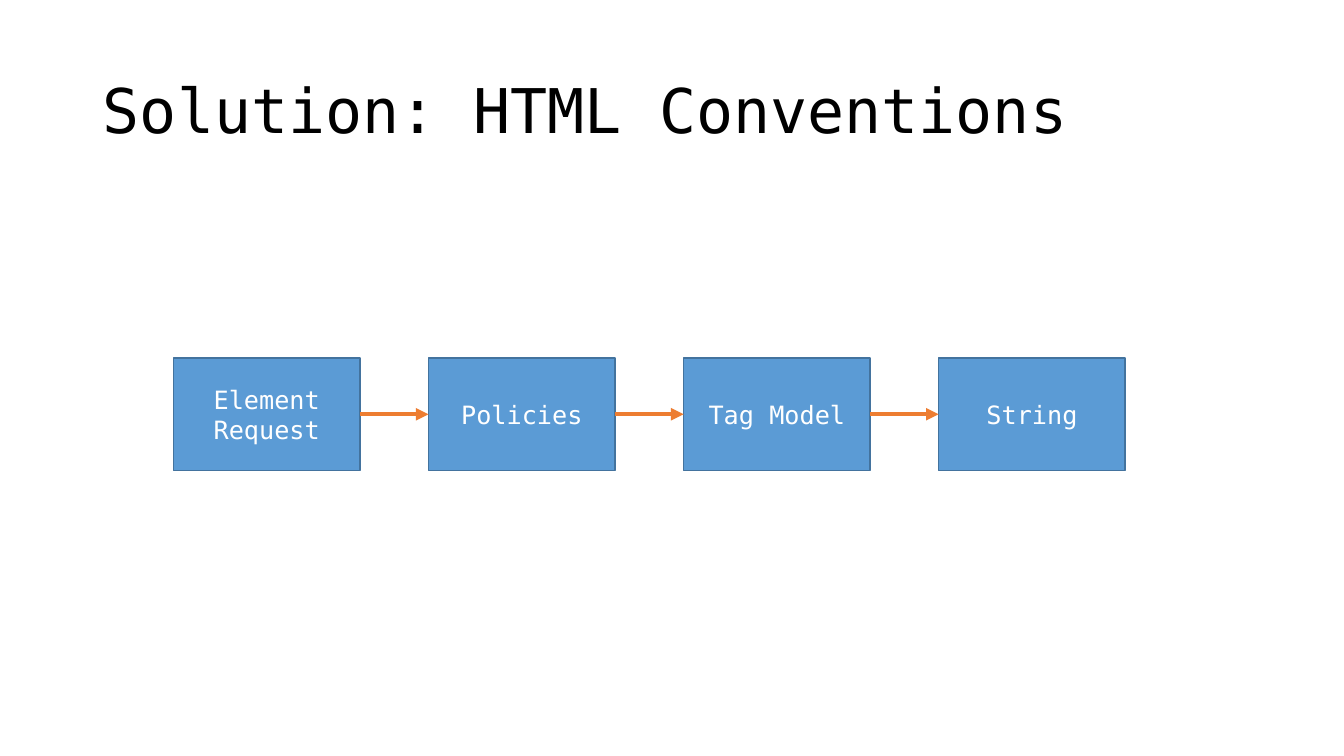
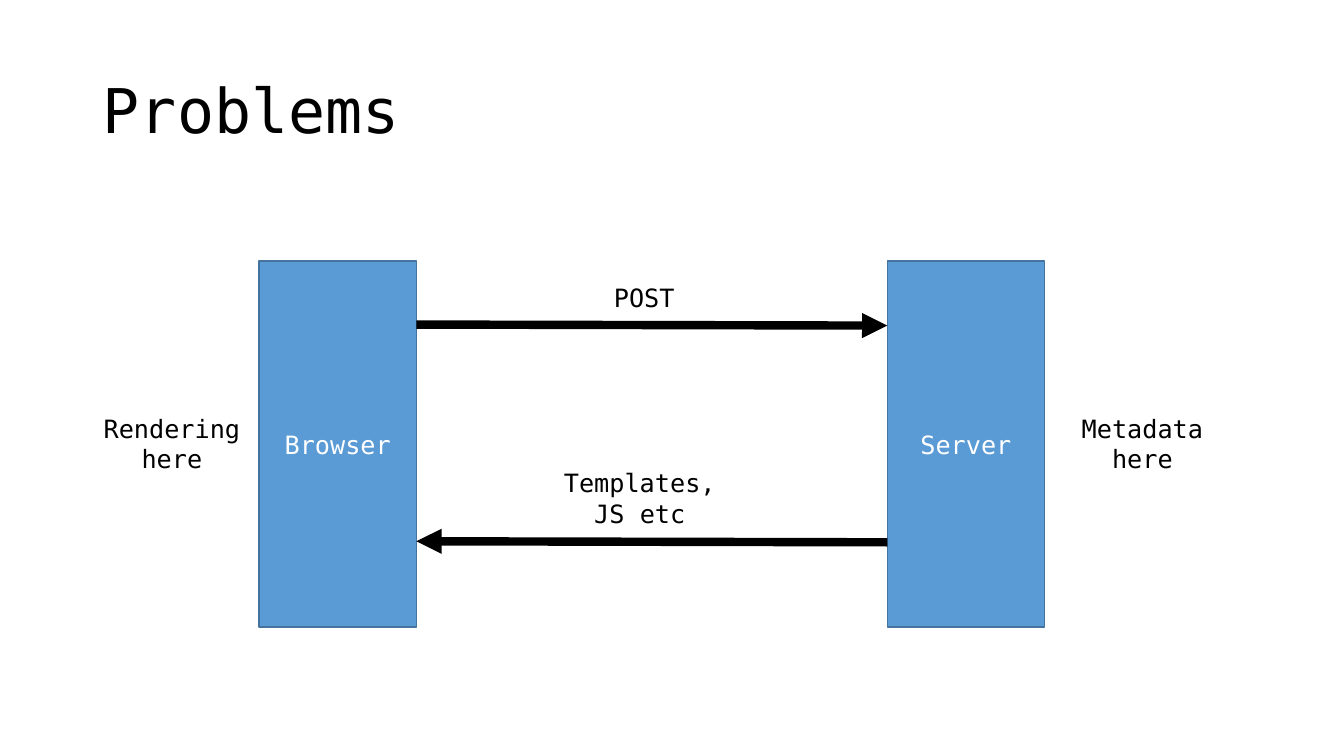
from lxml.etree import SubElement
from pptx import Presentation
from pptx.dml.color import RGBColor
from pptx.enum.shapes import MSO_CONNECTOR, MSO_SHAPE
from pptx.enum.text import MSO_ANCHOR, MSO_AUTO_SIZE, PP_ALIGN
from pptx.oxml.ns import qn
from pptx.util import Inches, Pt

BLACK = RGBColor(0x00, 0x00, 0x00)
WHITE = RGBColor(0xFF, 0xFF, 0xFF)
BLUE = RGBColor(0x5B, 0x9B, 0xD5)
DARK_BLUE = RGBColor(0x43, 0x73, 0x9E)
ORANGE = RGBColor(0xED, 0x7D, 0x31)

LEFT_SIDE, RIGHT_SIDE = 1, 3


class Deck:
    """Holds the shared style and the slide being filled."""

    font_name = "DejaVu Sans Mono"
    title_layout = 5

    def __init__(self):
        self.presentation = Presentation()
        self.presentation.slide_width = Inches(13.33)
        self.presentation.slide_height = Inches(7.5)
        self.slide = None

    def add_slide(self, title):
        layout = self.presentation.slide_layouts[self.title_layout]
        self.slide = self.presentation.slides.add_slide(layout)
        shape = self.slide.shapes.title
        places = {"left": 0.92, "top": 0.4, "width": 11.5, "height": 1.45}
        for name, value in places.items():
            setattr(shape, name, Inches(value))
        self.fill_text(shape, title, 44, BLACK, PP_ALIGN.LEFT,
                       MSO_ANCHOR.MIDDLE)
        shape.text_frame.auto_size = MSO_AUTO_SIZE.NONE
        shape.text_frame.paragraphs[0].line_spacing = 0.9

    def fill_text(self, shape, text, size, color, alignment, anchor):
        frame = shape.text_frame
        frame.text = text
        frame.word_wrap = True
        frame.vertical_anchor = anchor
        paragraph = frame.paragraphs[0]
        paragraph.alignment = alignment
        formats = {"name": self.font_name, "size": Pt(size)}
        for name, value in formats.items():
            setattr(paragraph.font, name, value)
        paragraph.font.color.rgb = color

    def add_box(self, text, left, top, width, height):
        shape = self.slide.shapes.add_shape(
            MSO_SHAPE.RECTANGLE,
            Inches(left), Inches(top), Inches(width), Inches(height))
        shape.shadow.inherit = False
        shape.fill.solid()
        shape.fill.fore_color.rgb = BLUE
        shape.line.color.rgb = DARK_BLUE
        shape.line.width = Pt(1)
        self.fill_text(shape, text, 18, WHITE, PP_ALIGN.CENTER,
                       MSO_ANCHOR.MIDDLE)
        return shape

    def add_label(self, text, left, top, width, height,
                  alignment=PP_ALIGN.CENTER):
        shape = self.slide.shapes.add_textbox(
            Inches(left), Inches(top), Inches(width), Inches(height))
        self.fill_text(shape, text, 18, BLACK, alignment, MSO_ANCHOR.TOP)
        shape.text_frame.auto_size = MSO_AUTO_SIZE.SHAPE_TO_FIT_TEXT

    def add_arrow(self, start, end, color, width):
        """Draw a line with its arrowhead at end; points are in inches."""
        connector = self.slide.shapes.add_connector(
            MSO_CONNECTOR.STRAIGHT,
            *(Inches(value) for value in (*start, *end)))
        connector.line.color.rgb = color
        connector.line.width = Pt(width)
        properties = connector._element.spPr
        SubElement(properties.find(qn("a:ln")), qn("a:tailEnd"),
                   type="triangle")
        SubElement(properties, qn("a:effectLst"))
        return connector

    def save(self):
        self.presentation.save("out.pptx")


def add_conventions_slide(deck):
    deck.add_slide("Solution: HTML Conventions")
    left, top, width, height, step = 1.72, 3.55, 1.85, 1.12, 2.53
    steps = ["Element Request", "Policies", "Tag Model", "String"]
    boxes = [deck.add_box(text, left + index * step, top, width, height)
             for index, text in enumerate(steps)]
    middle = top + height / 2
    for index, (source, target) in enumerate(zip(boxes, boxes[1:])):
        box_left = left + index * step
        arrow = deck.add_arrow((box_left + width, middle),
                               (box_left + step, middle), ORANGE, 3)
        arrow.begin_connect(source, RIGHT_SIDE)
        arrow.end_connect(target, LEFT_SIDE)


def add_problems_slide(deck):
    deck.add_slide("Problems")
    top, width, height = 2.59, 1.56, 3.63
    browser_left, server_left = 2.57, 8.8
    browser_right = browser_left + width
    deck.add_box("Browser", browser_left, top, width, height)
    deck.add_box("Server", server_left, top, width, height)

    deck.add_arrow((browser_right, 3.22), (server_left, 3.23), BLACK, 6)
    deck.add_label("POST", 5.99, 2.75, 1.53, 0.4, PP_ALIGN.LEFT)
    deck.add_arrow((server_left, 5.38), (browser_right, 5.37), BLACK, 6)
    deck.add_label("Templates, JS etc", 5.4, 4.59, 1.89, 0.71)

    deck.add_label("Metadata here", 10.59, 4.05, 1.48, 0.71)
    deck.add_label("Rendering here", 0.92, 4.05, 1.57, 0.71)


def main():
    deck = Deck()
    add_conventions_slide(deck)
    add_problems_slide(deck)
    deck.save()


if __name__ == "__main__":
    main()
